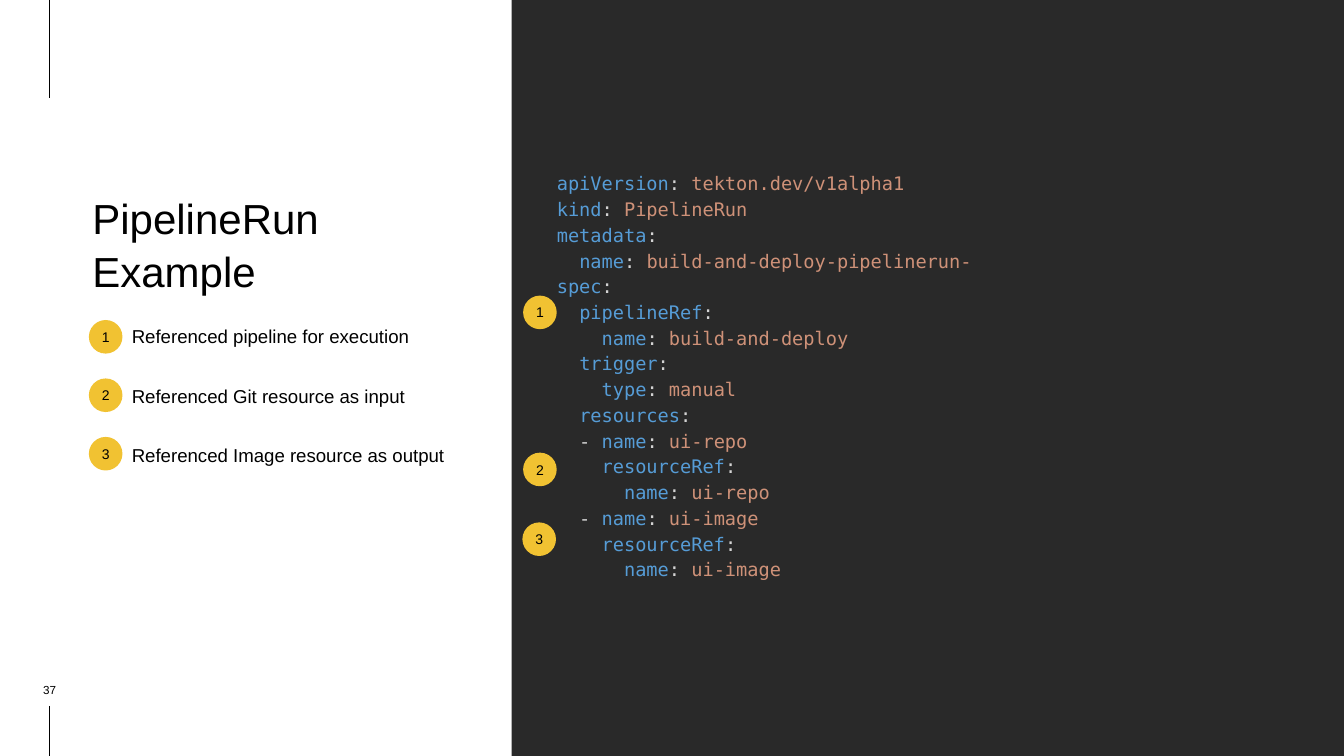
from lxml.etree import SubElement
from pptx import Presentation
from pptx.dml.color import RGBColor
from pptx.enum.shapes import MSO_CONNECTOR, MSO_SHAPE
from pptx.enum.text import MSO_ANCHOR, MSO_AUTO_SIZE, PP_ALIGN
from pptx.oxml.ns import qn
from pptx.util import Pt

TITLE = "PipelineRun Example"
PAGE_NUMBER = "37"
NOTES = [
    "Referenced pipeline for execution",
    "Referenced Git resource as input",
    "Referenced Image resource as output",
]
CODE = """apiVersion: tekton.dev/v1alpha1
kind: PipelineRun
metadata:
  name: build-and-deploy-pipelinerun-
spec:
  pipelineRef:
    name: build-and-deploy
  trigger:
    type: manual
  resources:
  - name: ui-repo
    resourceRef:
      name: ui-repo
  - name: ui-image
    resourceRef:
      name: ui-image"""
CODE_BADGES = [(448.4, 253.4), (448.4, 388), (447.8, 447.8)]

WIDTH, HEIGHT = 1152, 648
SANS, MONO = "Arial", "DejaVu Sans Mono"
BLACK, PANEL, YELLOW = "000000", "292929", "F1C232"
KEY, MARK, VALUE = "569CD6", "D4D4D4", "CE9178"
BADGE = 28.8
NOTE_PITCH, NOTE_LINE = 50.1, 18.4
BADGE_LEFT, BADGE_TOP = 76.2, 274.3


def color(text):
    return RGBColor.from_string(text)


def place(box, left, top, width, height):
    box.left, box.top, box.width, box.height = Pt(left), Pt(top), Pt(width), Pt(height)


def set_frame(box, inset=7.2, anchor=MSO_ANCHOR.TOP):
    frame = box.text_frame
    frame.word_wrap = True
    frame.auto_size = MSO_AUTO_SIZE.NONE
    frame.vertical_anchor = anchor
    frame.margin_left = frame.margin_right = Pt(inset)
    frame.margin_top = frame.margin_bottom = Pt(inset)
    return frame


def add_span(para, text, size=16, font=SANS, ink=BLACK):
    span = para.add_run()
    span.text = text
    span.font.size = Pt(size)
    span.font.name = font
    span.font.color.rgb = color(ink)


def set_para(para, align=PP_ALIGN.LEFT, spacing=1.0, before=0):
    para.alignment = align
    para.line_spacing = spacing
    para.space_before = Pt(before)
    para.space_after = Pt(0)


def paragraphs(frame, count):
    return [frame.paragraphs[0]] + [frame.add_paragraph() for _ in range(count - 1)]


def add_panel(page):
    panel = page.shapes.add_shape(
        MSO_SHAPE.RECTANGLE, Pt(438.5), Pt(0), Pt(WIDTH - 438.5), Pt(HEIGHT))
    panel.shadow.inherit = False
    panel.fill.solid()
    panel.fill.fore_color.rgb = color(PANEL)
    panel.line.fill.background()


def add_rule(page, top, bottom):
    rule = page.shapes.add_connector(
        MSO_CONNECTOR.STRAIGHT, Pt(42.3), Pt(top), Pt(42.3), Pt(bottom))
    rule.line.width = Pt(0.75)
    rule.line.color.rgb = color(BLACK)
    SubElement(rule._element.spPr, qn("a:effectLst"))


def add_badge(page, number, left, top):
    badge = page.shapes.add_shape(MSO_SHAPE.OVAL, Pt(left), Pt(top), Pt(BADGE), Pt(BADGE))
    badge.shadow.inherit = False
    badge.fill.solid()
    badge.fill.fore_color.rgb = color(YELLOW)
    badge.line.fill.background()
    para = set_frame(badge, inset=0, anchor=MSO_ANCHOR.MIDDLE).paragraphs[0]
    set_para(para, align=PP_ALIGN.CENTER)
    add_span(para, str(number), size=12)


def add_title(page):
    title = page.shapes.title
    place(title, 72, 154.8, 335.5, 85)
    para = set_frame(title).paragraphs[0]
    set_para(para, spacing=1.06)
    add_span(para, TITLE, size=36)


def add_notes(page):
    body = page.placeholders[1]
    place(body, 105.8, 271.4, 301.7, 141)
    for index, para in enumerate(paragraphs(set_frame(body), len(NOTES))):
        properties = para._p.get_or_add_pPr()
        properties.set("marL", "0")
        properties.set("indent", "0")
        SubElement(properties, qn("a:buNone"))
        set_para(para, before=NOTE_PITCH - NOTE_LINE if index else 0)
        add_span(para, NOTES[index])
        add_badge(page, index + 1, BADGE_LEFT, BADGE_TOP + index * NOTE_PITCH)


def add_code(page):
    box = page.shapes.add_textbox(Pt(470.2), Pt(137.5), Pt(660), Pt(370))
    lines = CODE.splitlines()
    for para, line in zip(paragraphs(set_frame(box), len(lines)), lines):
        set_para(para, spacing=Pt(22.05))
        head, _, value = line.partition(": ")
        head = head.rstrip(":")
        key = head.lstrip(" -")
        lead = head[:len(head) - len(key)]
        colon = ": " if value else ":"
        for text, ink in ((lead, MARK), (key, KEY), (colon, MARK), (value, VALUE)):
            if text:
                add_span(para, text, font=MONO, ink=ink)
    for number, (left, top) in enumerate(CODE_BADGES, 1):
        add_badge(page, number, left, top)


def add_page_number(page):
    box = page.shapes.add_textbox(Pt(7.9), Pt(583.2), Pt(69.1), Pt(13.7))
    para = set_frame(box, inset=0, anchor=MSO_ANCHOR.BOTTOM).paragraphs[0]
    set_para(para, align=PP_ALIGN.CENTER)
    add_span(para, PAGE_NUMBER, size=10)


def main():
    deck = Presentation()
    deck.slide_width, deck.slide_height = Pt(WIDTH), Pt(HEIGHT)
    page = deck.slides.add_slide(deck.slide_layouts[1])
    add_panel(page)
    add_rule(page, 0, 83.8)
    add_rule(page, 605, HEIGHT)
    add_title(page)
    add_notes(page)
    add_code(page)
    add_page_number(page)
    deck.save("out.pptx")


if __name__ == "__main__":
    main()
